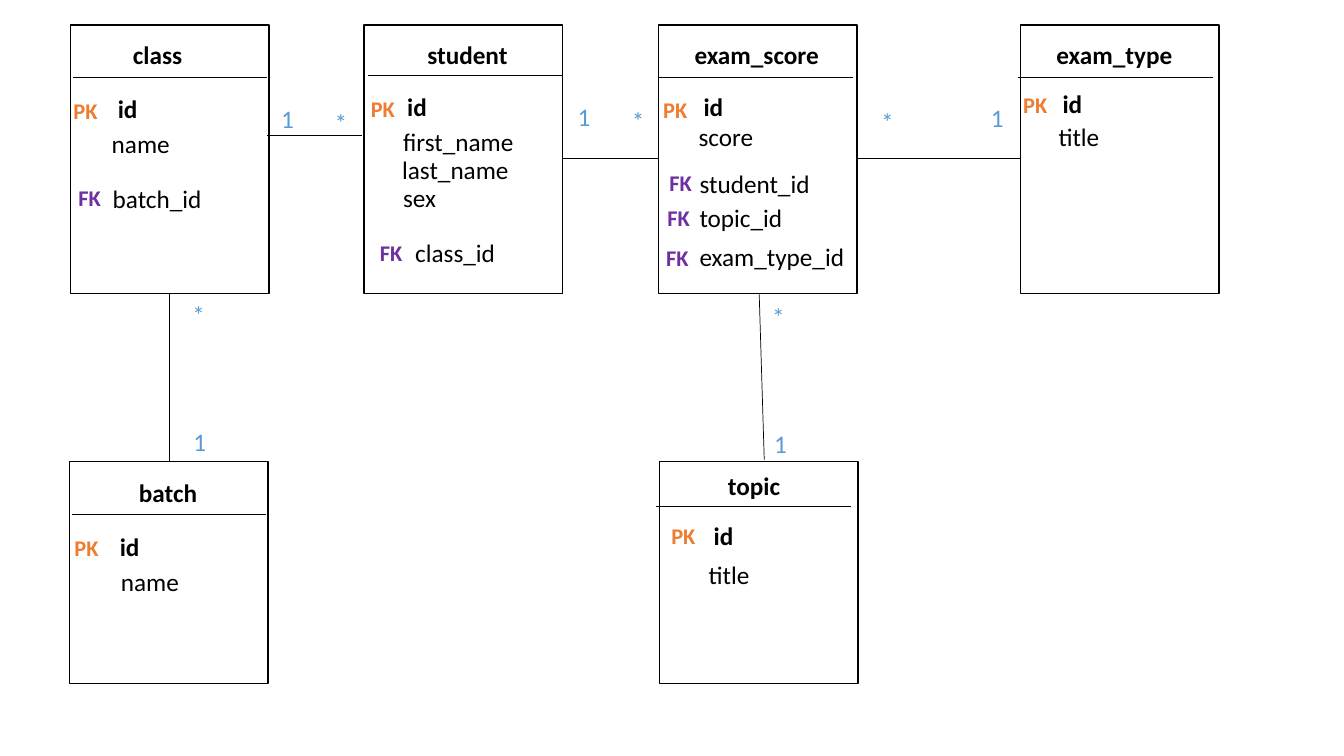
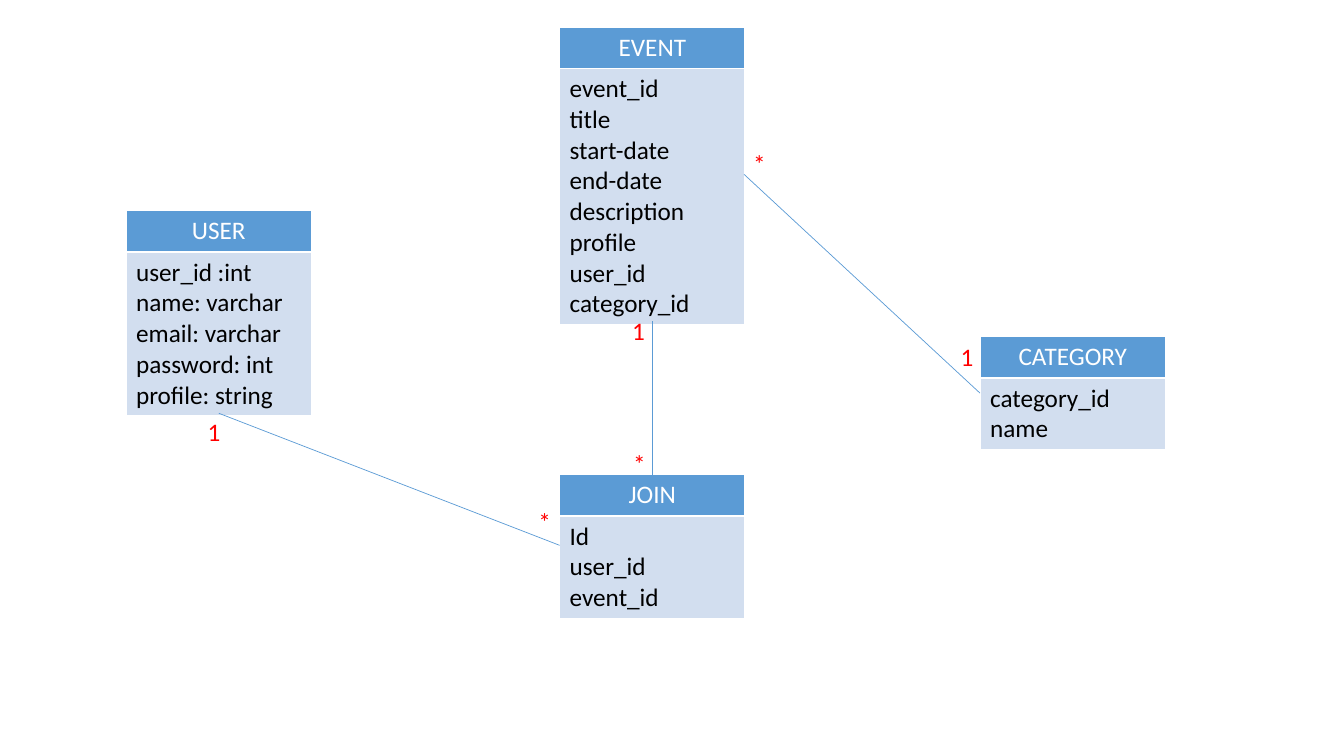
import lxml.etree
import pptx
import pptx.dml.color
import pptx.enum.shapes
import pptx.enum.text
import pptx.oxml.ns
import pptx.util

Inches = pptx.util.Inches
FONT = "Calibri"
BLACK, WHITE, RED = "000000", "FFFFFF", "FF0000"
BLUE, PALE_BLUE = "5B9BD5", "D2DEEF"
KEY_COLOURS = {"PK": "ED7D31", "FK": "7030A0"}
KEY_WIDTHS = {"PK": 0.44, "FK": 0.43}

# School diagram
ENTITY_WIDTH, RULE_WIDTH = 1.97, 1.93
WORD_WIDTHS = {
    "class": 0.69, "student": 1, "exam_score": 1.44, "exam_type": 1.36,
    "topic": 0.72, "batch": 0.78, "id": 0.4, "name": 0.78, "title": 0.61,
    "first_name": 1.35, "last_name": 1.27, "sex": 0.53, "score": 0.75,
    "batch_id": 1.1, "class_id": 1, "student_id": 1.31, "topic_id": 1.03,
    "exam_type_id": 1.65,
}
# name, (left, top, height), name position, rule start,
# fields as (name, left, top), keys as (kind, left, top)
ENTITIES = [
    ("class", (0.7, 0.25, 2.66), (1.22, 0.34), (0.72, 0.77),
     [("id", 1.07, 0.88), ("name", 1.01, 1.22), ("batch_id", 1.02, 1.77)],
     [("PK", 0.63, 0.91), ("FK", 0.68, 1.78)]),
    ("student", (3.61, 0.25, 2.66), (4.14, 0.34), (3.65, 0.75),
     [("id", 3.94, 0.86), ("first_name", 3.9, 1.2), ("last_name", 3.89, 1.48),
      ("sex", 3.9, 1.76), ("class_id", 4.02, 2.31)],
     [("PK", 3.58, 0.89), ("FK", 3.67, 2.32)]),
    ("exam_score", (6.53, 0.25, 2.66), (6.79, 0.34), (6.53, 0.77),
     [("id", 6.88, 0.86), ("score", 6.83, 1.15), ("student_id", 6.84, 1.62),
      ("topic_id", 6.84, 1.96), ("exam_type_id", 6.84, 2.34)],
     [("PK", 6.48, 0.9), ("FK", 6.54, 1.63), ("FK", 6.52, 1.98),
      ("FK", 6.51, 2.37)]),
    ("exam_type", (10.12, 0.25, 2.66), (10.38, 0.34), (10.1, 0.77),
     [("id", 10.44, 0.83), ("title", 10.4, 1.15)],
     [("PK", 10.05, 0.86)]),
    ("topic", (6.54, 4.58, 2.2), (7.12, 4.62), (6.51, 5.02),
     [("id", 6.98, 5.11), ("title", 6.93, 5.5)],
     [("PK", 6.56, 5.13)]),
    ("batch", (0.69, 4.58, 2.2), (1.28, 4.69), (0.71, 5.1),
     [("id", 1.09, 5.22), ("name", 1.1, 5.57)],
     [("PK", 0.64, 5.25)]),
]
# line start, line end, position of "1", position of "*"
SCHOOL_RELATIONS = [
    ((2.65, 1.34), (3.59, 1.34), (2.69, 0.98), (3.22, 1.02)),
    ((5.58, 1.57), (6.53, 1.57), (5.63, 0.96), (6.17, 1)),
    ((8.5, 1.57), (10.12, 1.57), (9.73, 0.97), (8.64, 1.01)),
    ((7.53, 2.92), (7.58, 4.56), (7.58, 4.2), (7.56, 2.94)),
    ((1.68, 2.91), (1.68, 4.58), (1.82, 4.18), (1.81, 2.92)),
]

# Event diagram
TABLE_WIDTH, HEADER_HEIGHT, LINE_HEIGHT, CELL_PADDING = 1.84, 0.41, 0.3, 0.1
TABLES = [
    ("EVENT", 5.55, 0.27,
     ["event_id", "title", "start-date", "end-date", "description", "profile",
      "user_id", "category_id"]),
    ("USER", 1.25, 2.09,
     ["user_id :int", "name: varchar", "email: varchar", "password: int",
      "profile: string"]),
    ("JOIN", 5.55, 4.71, ["Id", "user_id", "event_id"]),
    ("CATEGORY", 9.72, 3.34, ["category_id", "name"]),
]
EVENT_RELATIONS = [
    ((7.38, 1.73), (9.72, 3.9), (9.43, 3.31), (7.37, 1.39)),
    ((6.47, 4.71), (6.47, 3.18), (6.17, 3.05), (6.18, 4.37)),
    ((2.17, 4.1), (5.55, 5.41), (1.96, 4.05), (5.24, 4.94)),
]


def rgb(value):
    """Turn a hex string into a colour."""
    return pptx.dml.color.RGBColor.from_string(value)


def add_span(para, text, colour, size=18, bold=False):
    """Add one formatted run to a paragraph."""
    span = para.add_run()
    span.text = text
    span.font.name = FONT
    span.font.size = pptx.util.Pt(size)
    span.font.bold = bold
    span.font.color.rgb = rgb(colour)


def add_label(page, text, place, area, colour, size=18, bold=False, centred=False):
    """Place a one-line label that does not wrap."""
    box = page.shapes.add_textbox(*map(Inches, (*place, *area)))
    frame = box.text_frame
    frame.word_wrap = False
    para = frame.paragraphs[0]
    if centred:
        frame.vertical_anchor = pptx.enum.text.MSO_ANCHOR.MIDDLE
        para.alignment = pptx.enum.text.PP_ALIGN.CENTER
    else:
        frame.auto_size = pptx.enum.text.MSO_AUTO_SIZE.SHAPE_TO_FIT_TEXT
    add_span(para, text, colour, size, bold)


def add_line(page, start, end, colour):
    """Draw a thin straight line without shadow."""
    line = page.shapes.add_connector(
        pptx.enum.shapes.MSO_CONNECTOR.STRAIGHT, *map(Inches, (*start, *end)))
    line.line.color.rgb = rgb(colour)
    line.line.width = pptx.util.Pt(0.5)
    properties = line._element.spPr
    lxml.etree.SubElement(properties, pptx.oxml.ns.qn("a:effectLst"))


def add_relations(page, relations, line_colour, label_colour, area, centred):
    """Draw each relation with its two multiplicities."""
    for start, end, one, many in relations:
        add_line(page, start, end, line_colour)
        for text, place in (("1", one), ("*", many)):
            add_label(page, text, place, area, label_colour, centred=centred)


def add_entity(page, name, frame, name_place, rule_start, fields, keys):
    """Draw an outlined entity with its name, rule, fields and keys."""
    left, top, height = frame
    box = page.shapes.add_shape(
        pptx.enum.shapes.MSO_SHAPE.RECTANGLE,
        *map(Inches, (left, top, ENTITY_WIDTH, height)))
    box.shadow.inherit = False
    box.fill.solid()
    box.fill.fore_color.rgb = rgb(WHITE)
    box.line.color.rgb = rgb(BLACK)
    box.line.width = pptx.util.Pt(1)
    add_label(page, name, name_place, (WORD_WIDTHS[name], 0.4), BLACK, bold=True)
    add_line(page, rule_start, (rule_start[0] + RULE_WIDTH, rule_start[1]), BLACK)
    for field, *place in fields:
        add_label(page, field, place, (WORD_WIDTHS[field], 0.4), BLACK,
                  bold=field == "id")
    for key, *place in keys:
        add_label(page, key, place, (KEY_WIDTHS[key], 0.37), KEY_COLOURS[key],
                  size=16, bold=True)


def format_cell(cell, fill, lines, colour, centred=False):
    """Fill a cell, edge it in white and write its lines."""
    qn = pptx.oxml.ns.qn
    properties = cell._tc.get_or_add_tcPr()
    for side in ("a:lnL", "a:lnR", "a:lnT", "a:lnB"):
        edge = lxml.etree.SubElement(properties, qn(side), w=str(pptx.util.Pt(1)))
        paint = lxml.etree.SubElement(edge, qn("a:solidFill"))
        lxml.etree.SubElement(paint, qn("a:srgbClr"), val=WHITE)
    cell.fill.solid()
    cell.fill.fore_color.rgb = rgb(fill)
    frame = cell.text_frame
    for index, text in enumerate(lines):
        para = frame.add_paragraph() if index else frame.paragraphs[0]
        if centred:
            para.alignment = pptx.enum.text.PP_ALIGN.CENTER
        add_span(para, text, colour)


def add_entity_table(page, name, left, top, fields):
    """Add a table with a header cell and one cell of fields."""
    body_height = LINE_HEIGHT * len(fields) + CELL_PADDING
    table = page.shapes.add_table(
        2, 1, *map(Inches, (left, top, TABLE_WIDTH, HEADER_HEIGHT + body_height))).table
    table.rows[0].height = Inches(HEADER_HEIGHT)
    table.rows[1].height = Inches(body_height)
    format_cell(table.cell(0, 0), BLUE, [name], WHITE, centred=True)
    format_cell(table.cell(1, 0), PALE_BLUE, fields, BLACK)


def build():
    """Build both diagrams and save the deck."""
    deck = pptx.Presentation()
    deck.slide_width, deck.slide_height = Inches(13.33), Inches(7.5)
    blank = deck.slide_layouts[6]

    school = deck.slides.add_slide(blank)
    for entity in ENTITIES:
        add_entity(school, *entity)
    add_relations(school, SCHOOL_RELATIONS, BLACK, BLUE, (0.33, 0.4), False)

    events = deck.slides.add_slide(blank)
    for entity in TABLES:
        add_entity_table(events, *entity)
    add_relations(events, EVENT_RELATIONS, BLUE, RED, (0.29, 0.46), True)

    deck.save("out.pptx")


build()
